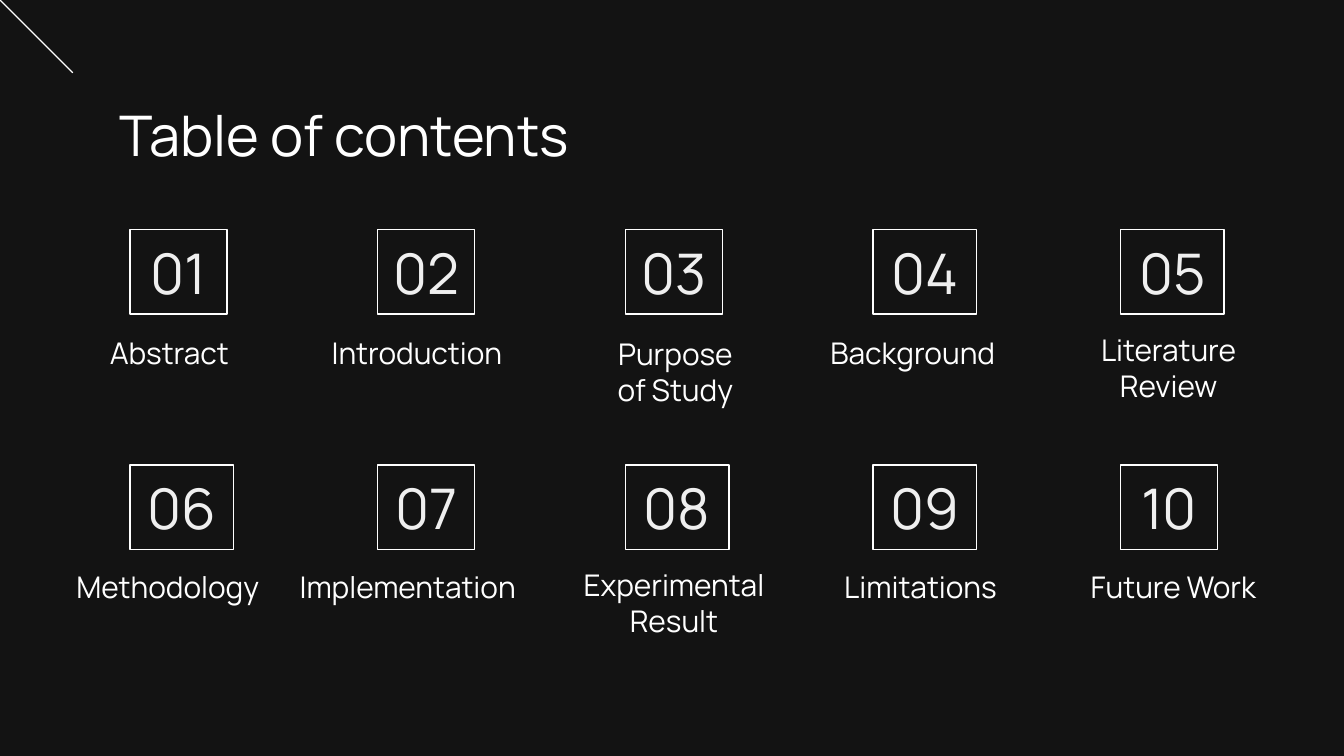
"""Build a dark contents slide with ten numbered sections."""
from dataclasses import dataclass
from typing import Any

from lxml.etree import SubElement
from pptx import Presentation
from pptx.dml.color import RGBColor
from pptx.enum.shapes import MSO_CONNECTOR, MSO_SHAPE
from pptx.enum.text import MSO_ANCHOR, MSO_AUTO_SIZE, PP_ALIGN
from pptx.oxml.ns import qn
from pptx.util import Pt


@dataclass(frozen=True)
class Theme:
    """Colours, type sizes and line weight of the slide."""
    background: RGBColor = RGBColor(0x13, 0x13, 0x13)
    ink: RGBColor = RGBColor(0xFF, 0xFF, 0xFF)
    number: RGBColor = RGBColor(0xEF, 0xEF, 0xEF)
    font: str = "Manrope"
    heading_size: float = 30
    label_size: float = 16
    line_width: float = 0.75


@dataclass(frozen=True)
class Section:
    """One contents entry: label box and number box width, in points."""
    label: str
    left: float
    top: float
    width: float
    height: float
    number_width: float
    align: PP_ALIGN = PP_ALIGN.CENTER


THEME = Theme()
LEFT, CENTER = PP_ALIGN.LEFT, PP_ALIGN.CENTER
NARROW, WIDE = 52, 55.5
SINGLE, DOUBLE = 30.24, 45.36
FIRST_ROW, SECOND_ROW = 175.7, 301
COLUMNS = 5
GRID_LEFT, GRID_TOP = 69.7, 123.1
COLUMN_PITCH, ROW_PITCH = 132.65, 126
NUMBER_HEIGHT = 45.2
CORNER = 39
SECTIONS = [
    Section("Abstract", 51.8, FIRST_ROW, 88.6, SINGLE, NARROW, LEFT),
    Section("Introduction", 170.6, FIRST_ROW, 115.2, SINGLE, NARROW, LEFT),
    Section("Purpose of Study", 317.5, 180, 88.6, DOUBLE, NARROW),
    Section("Background", 437.8, FIRST_ROW, 115.2, SINGLE, WIDE, LEFT),
    Section("Literature\nReview", 579.6, 177.8, 92.9, DOUBLE, WIDE),
    Section("Methodology", 33.8, SECOND_ROW, 123.1, SINGLE, WIDE, LEFT),
    Section("Implementation", 153.4, SECOND_ROW, 150.5, SINGLE, NARROW, LEFT),
    Section("Experimental\nResult", 299.5, 303.8, 123.1, DOUBLE, WIDE),
    Section("Limitations", 439.2, SECOND_ROW, 108, SINGLE, WIDE),
    Section("Future Work", 571, SECOND_ROW, 115.2, SINGLE, NARROW),
]


def apply(target: Any, values: dict[str, Any]) -> None:
    """Set each named attribute on the target."""
    for name, value in values.items():
        setattr(target, name, value)


def write(box: Any, text: str, size: float, color: RGBColor,
          align: PP_ALIGN, anchor: MSO_ANCHOR) -> None:
    """Fill a box with formatted text."""
    frame = box.text_frame
    frame.text = text
    margins = dict.fromkeys(
        ("margin_left", "margin_right", "margin_top", "margin_bottom"), Pt(7.2))
    apply(frame, {"word_wrap": True, "auto_size": MSO_AUTO_SIZE.NONE,
                  "vertical_anchor": anchor, **margins})
    for para in frame.paragraphs:
        para.alignment = align
        for span in para.runs:
            apply(span.font, {"name": THEME.font, "size": Pt(size)})
            span.font.color.rgb = color


def outline(line: Any) -> None:
    """Give a line the theme colour and weight."""
    line.color.rgb = THEME.ink
    line.width = Pt(THEME.line_width)


def add_title(page: Any) -> None:
    """Place and format the title placeholder."""
    title = page.shapes.title
    apply(title, {"left": Pt(56.9), "top": Pt(46.8),
                  "width": Pt(284.4), "height": Pt(45.36)})
    write(title, "Table of contents", THEME.heading_size, THEME.ink,
          LEFT, MSO_ANCHOR.TOP)


def add_corner_line(page: Any) -> None:
    """Draw the diagonal in the top left corner."""
    diagonal = page.shapes.add_connector(
        MSO_CONNECTOR.STRAIGHT, Pt(0), Pt(0), Pt(CORNER), Pt(CORNER))
    outline(diagonal.line)
    SubElement(diagonal.element.spPr, qn("a:effectLst"))


def add_section(page: Any, index: int, section: Section) -> None:
    """Draw one framed number and its label."""
    row, column = divmod(index, COLUMNS)
    number = page.shapes.add_shape(
        MSO_SHAPE.RECTANGLE,
        Pt(GRID_LEFT + column * COLUMN_PITCH), Pt(GRID_TOP + row * ROW_PITCH),
        Pt(section.number_width), Pt(NUMBER_HEIGHT))
    number.shadow.inherit = False
    number.fill.background()
    outline(number.line)
    write(number, f"{index + 1:02d}", THEME.heading_size, THEME.number,
          CENTER, MSO_ANCHOR.MIDDLE)
    label = page.shapes.add_textbox(
        Pt(section.left), Pt(section.top), Pt(section.width), Pt(section.height))
    write(label, section.label, THEME.label_size, THEME.ink,
          section.align, MSO_ANCHOR.BOTTOM)


def main() -> None:
    """Build and save the deck."""
    deck = Presentation()
    apply(deck, {"slide_width": Pt(720), "slide_height": Pt(405)})
    page = deck.slides.add_slide(deck.slide_layouts.get_by_name("Title Only"))
    page.background.fill.solid()
    page.background.fill.fore_color.rgb = THEME.background
    add_corner_line(page)
    add_title(page)
    for index, section in enumerate(SECTIONS):
        add_section(page, index, section)
    deck.save("out.pptx")


if __name__ == "__main__":
    main()
